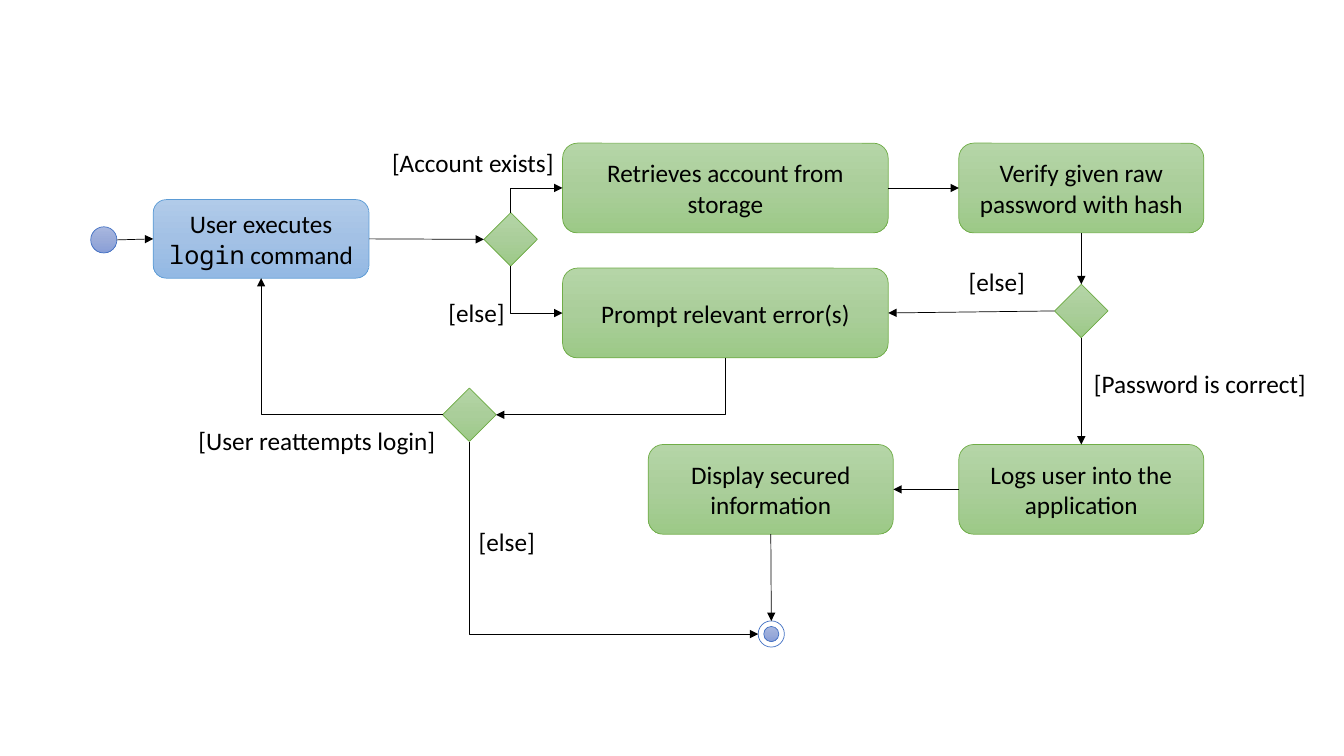
from copy import deepcopy

from pptx import Presentation
from pptx.dml.color import RGBColor
from pptx.enum.shapes import MSO_CONNECTOR as Wire, MSO_SHAPE as Shape
from pptx.enum.text import MSO_ANCHOR as Anchor, PP_ALIGN as Align
from pptx.oxml import parse_xml
from pptx.oxml.ns import nsdecls, qn
from pptx.util import Inches, Pt

BLACK = RGBColor(0x00, 0x00, 0x00)
WHITE = RGBColor(0xFF, 0xFF, 0xFF)
INDIGO_LINE = RGBColor(0x44, 0x72, 0xC4)
BLUE_LINE = RGBColor(0x5B, 0x9B, 0xD5)
GREEN_LINE = RGBColor(0x70, 0xAD, 0x47)
INDIGO = [RGBColor(0xA8, 0xB7, 0xDF), RGBColor(0x9A, 0xAB, 0xD9), RGBColor(0x88, 0x9E, 0xD7)]
BLUE = [RGBColor(0xB1, 0xCB, 0xE9), RGBColor(0xA3, 0xC1, 0xE5), RGBColor(0x93, 0xB9, 0xE4)]
GREEN = [RGBColor(0xB5, 0xD5, 0xA7), RGBColor(0xAA, 0xCE, 0x9A), RGBColor(0x9C, 0xC9, 0x87)]

BODY, MONO = "Calibri", "Noto Sans Mono"
DIAMOND, DOT, CORE = 0.53, 0.26, 0.15
BOX_H, LABEL_H = 0.89, 0.4
TOP, LEFT, BOTTOM, RIGHT = range(4)


def write(paragraph, words, font=BODY):
    run = paragraph.add_run()
    run.text = words
    for name, value in {"name": font, "size": Pt(18)}.items():
        setattr(run.font, name, value)
    run.font.color.rgb = BLACK


def add_node(shapes, kind, box, colours, outline):
    """Outlined shape, filled plain or with a downward gradient."""
    node = shapes.add_shape(kind, *map(Inches, box))
    node.shadow.inherit = False
    node.line.color.rgb = outline
    node.line.width = Pt(0.5)
    if len(colours) == 1:
        node.fill.solid()
        node.fill.fore_color.rgb = colours[0]
        return node
    node.fill.gradient()
    node.fill.gradient_angle = 270
    first_stop = node._element.spPr.find(".//" + qn("a:gs"))
    first_stop.addnext(deepcopy(first_stop))
    for stop, colour, position in zip(node.fill.gradient_stops, colours, (0, 0.5, 1)):
        stop.color.rgb = colour
        stop.position = position
    return node


def add_action(shapes, box, parts, colours=GREEN, outline=GREEN_LINE):
    """Rounded action box; parts are (words, font) pairs."""
    action = add_node(shapes, Shape.ROUNDED_RECTANGLE, box, colours, outline)
    frame = action.text_frame
    frame.word_wrap = True
    frame.vertical_anchor = Anchor.MIDDLE
    paragraph = frame.paragraphs[0]
    paragraph.alignment = Align.CENTER
    for words, font in parts:
        write(paragraph, words, font)
    return action


def add_decision(shapes, left, top):
    return add_node(shapes, Shape.DIAMOND, (left, top, DIAMOND, DIAMOND), GREEN, GREEN_LINE)


def add_final(shapes, left, top):
    """Ringed dot that ends the flow."""
    group = shapes.add_group_shape().shapes
    ring = add_node(group, Shape.OVAL, (left, top, DOT, DOT), [WHITE], INDIGO_LINE)
    inset = (DOT - CORE) / 2
    add_node(group, Shape.OVAL, (left + inset, top + inset, CORE, CORE), INDIGO, INDIGO_LINE)
    return ring


def add_guard(shapes, words, left, top, width):
    guard = shapes.add_textbox(*map(Inches, (left, top, width, LABEL_H)))
    guard.text_frame.word_wrap = True
    write(guard.text_frame.paragraphs[0], words)


def site(node, side):
    middle_x, middle_y = node.left + node.width // 2, node.top + node.height // 2
    return {TOP: (middle_x, node.top), LEFT: (node.left, middle_y),
            BOTTOM: (middle_x, node.top + node.height),
            RIGHT: (node.left + node.width, middle_y)}[side]


def add_flow(shapes, source, out_side, target, in_side):
    """Arrow between two sides; it turns one corner when they lie on different axes."""
    (x1, y1), (x2, y2) = site(source, out_side), site(target, in_side)
    bent = out_side % 2 != in_side % 2
    flow = shapes.add_connector(Wire.ELBOW if bent else Wire.STRAIGHT, x1, y1, x2, y2)
    if source.auto_shape_type != Shape.OVAL:
        flow.begin_connect(source, out_side)
    if target.auto_shape_type != Shape.OVAL:
        flow.end_connect(target, in_side)
    properties = flow._element.spPr
    if bent:
        properties.find(qn("a:prstGeom")).set("prst", "bentConnector2")
    if bent and out_side in (TOP, BOTTOM):
        # The preset leaves sideways, so a quarter turn makes it leave vertically
        middle_x, middle_y = (x1 + x2) // 2, (y1 + y2) // 2
        half_x, half_y = (y2 - y1) // 2, (x1 - x2) // 2
        turned = {"begin_x": middle_x - half_x, "begin_y": middle_y - half_y,
                  "end_x": middle_x + half_x, "end_y": middle_y + half_y, "rotation": 90}
        for name, value in turned.items():
            setattr(flow, name, value)
    flow.line.color.rgb = BLACK
    flow.line.width = Pt(0.5)
    flow.line._get_or_add_ln().append(parse_xml(f'<a:tailEnd {nsdecls("a")} type="triangle"/>'))
    properties.append(parse_xml(f'<a:effectLst {nsdecls("a")}/>'))


def add_login_activity(shapes):
    # Start and end
    start = add_node(shapes, Shape.OVAL, (0.9, 2.25, DOT, DOT), INDIGO, INDIGO_LINE)
    final = add_final(shapes, 7.52, 6.16)

    # Actions
    command = add_action(shapes, (1.52, 1.98, 2.14, 0.78),
                         [("User executes ", BODY), ("login", MONO), (" command", BODY)],
                         BLUE, BLUE_LINE)
    retrieve, verify, prompt, log_in, display = [
        add_action(shapes, (left, top, width, BOX_H), [(words, BODY)])
        for words, left, top, width in (
            ("Retrieves account from storage", 5.58, 1.42, 3.23),
            ("Verify given raw password with hash", 9.51, 1.42, 2.43),
            ("Prompt relevant error(s)", 5.58, 2.66, 3.23),
            ("Logs user into the application", 9.51, 4.41, 2.43),
            ("Display secured information", 6.43, 4.41, 2.43))]

    # Decisions
    account = add_decision(shapes, 4.8, 2.11)
    password = add_decision(shapes, 10.46, 2.82)
    reattempt = add_decision(shapes, 4.39, 3.85)

    # Flows
    for flow in (
            (start, RIGHT, command, LEFT),
            (command, RIGHT, account, LEFT),
            (account, TOP, retrieve, LEFT),
            (account, BOTTOM, prompt, LEFT),
            (retrieve, RIGHT, verify, LEFT),
            (verify, BOTTOM, password, TOP),
            (password, LEFT, prompt, RIGHT),
            (password, BOTTOM, log_in, TOP),
            (log_in, LEFT, display, RIGHT),
            (display, BOTTOM, final, TOP),
            (prompt, BOTTOM, reattempt, RIGHT),
            (reattempt, LEFT, command, BOTTOM),
            (reattempt, BOTTOM, final, LEFT)):
        add_flow(shapes, *flow)

    # Guards
    for guard in (
            ("[Account exists]", 3.79, 1.41, 2.04),
            ("[else]", 4.35, 2.9, 0.93),
            ("[else]", 9.51, 2.59, 0.93),
            ("[Password is correct]", 10.75, 3.61, 2.51),
            ("[User reattempts login]", 1.87, 4.17, 2.59),
            ("[else]", 4.65, 5.17, 0.93)):
        add_guard(shapes, *guard)


def main():
    deck = Presentation()
    deck.slide_width, deck.slide_height = Inches(13.33), Inches(7.5)
    slide = deck.slides.add_slide(deck.slide_layouts[6])
    add_login_activity(slide.shapes)
    deck.save("out.pptx")


if __name__ == "__main__":
    main()
